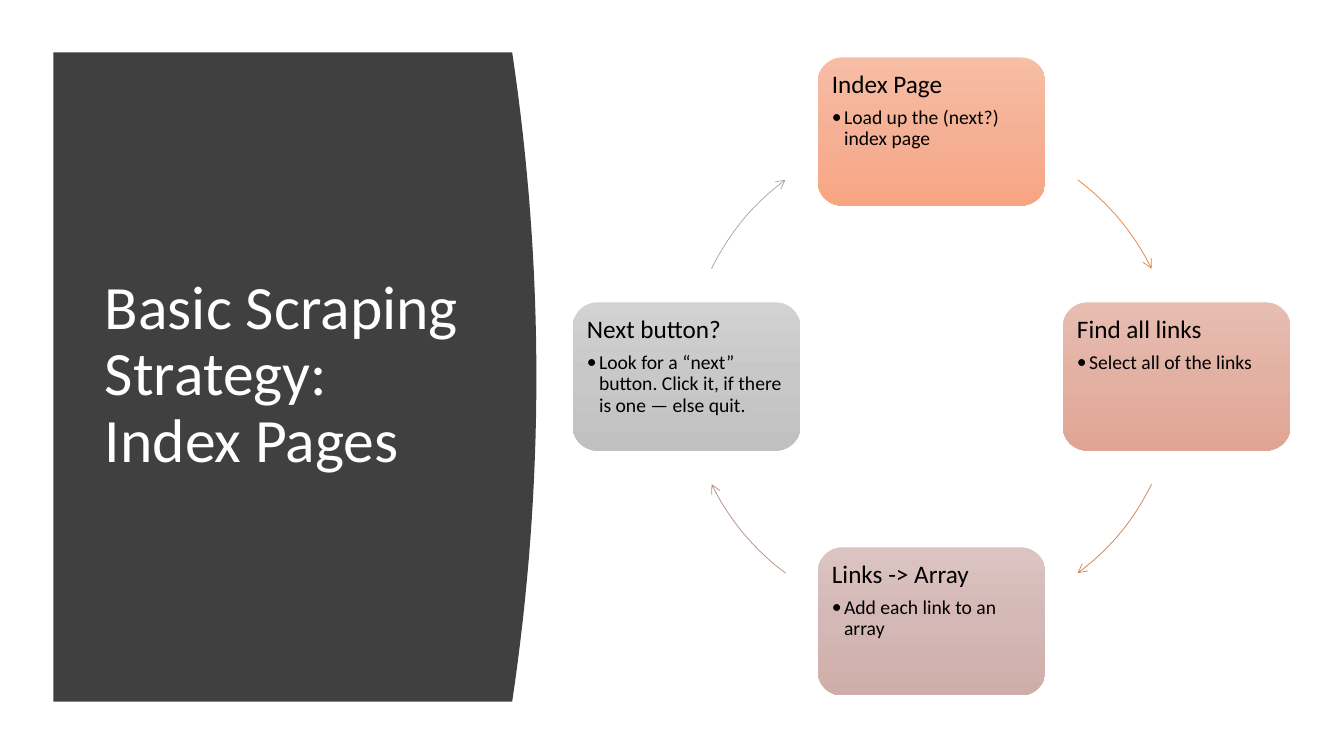
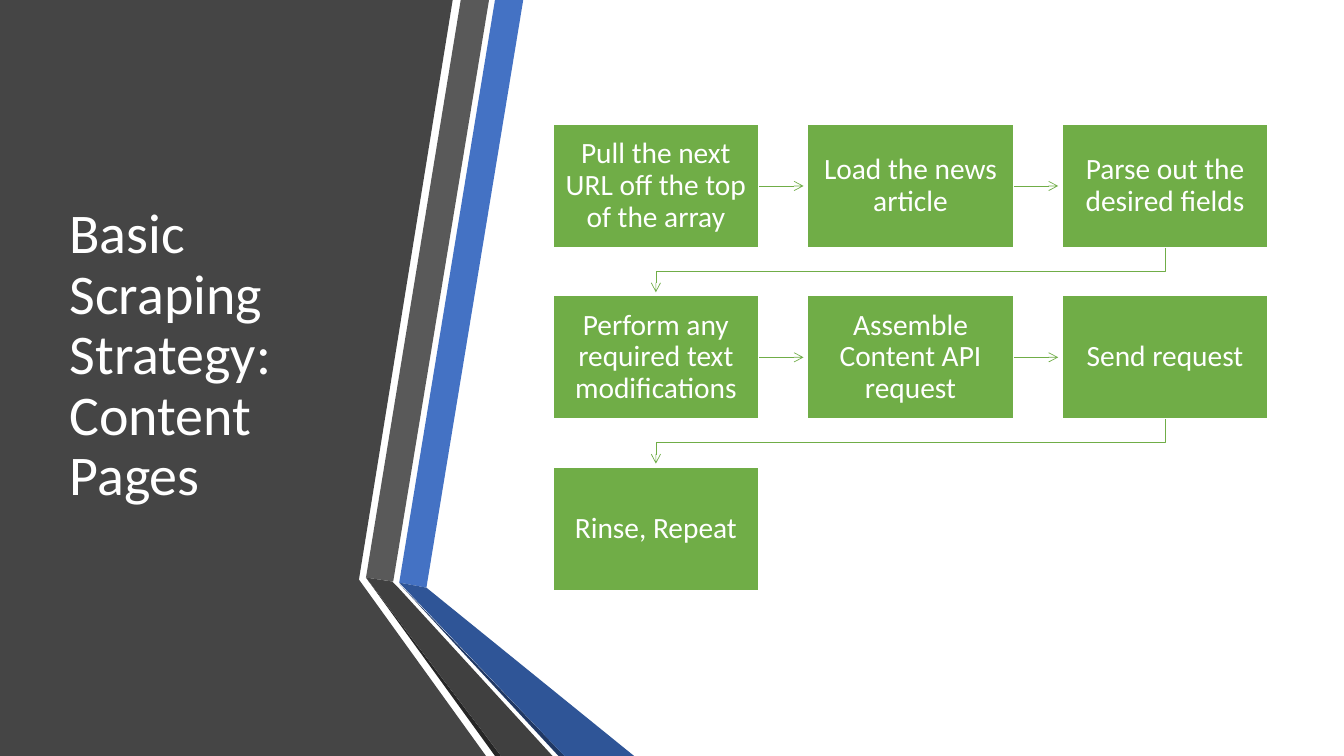
import pptx
import pptx.util
import pptx.dml.color
import pptx.enum.shapes
import pptx.enum.text
import pptx.oxml.ns
import copy
from lxml import etree

WIDE, HIGH = 13.33, 7.5
FONT = "Calibri"
HEX = {
    "white": "FFFFFF", "black": "000000",
    "panel": "404040", "side": "454545", "green": "70AD47",
    "blue": "4472C4", "navy": "2F5597", "deep": "203864",
    "gray": "595959", "dark": "262626",
}
# Cycle steps: heading, detail, gradient, arrow colour
STEPS = [
    ("Index Page", "Load up the (next?) index page",
     ("F7BDA5", "F5B196", "F8A582"), "ED7D31"),
    ("Find all links", "Select all of the links",
     ("E7BDB1", "E2B1A3", "E1A493"), "D17B5C"),
    ("Links -> Array", "Add each link to an array",
     ("DBC4C1", "D3B8B5", "CFAEA9"), "B98A82"),
    ("Next button?",
     "Look for a “next” button. Click it, if there is one — else quit.",
     ("D2D2D2", "C8C8C8", "C0C0C0"), "A5A5A5"),
]
TASKS = [
    "Pull the next URL off the top of the array", "Load the news article",
    "Parse out the desired fields", "Perform any required text modifications",
    "Assemble Content API request", "Send request", "Rinse, Repeat",
]
# Folded bands: colour and corners
BANDS = [
    ("side", [(0, 0), (4.49, 0), (3.56, 5.75), (4.82, 7.5), (0, 7.5)]),
    ("blue", [(3.96, 5.78), (4.23, 5.83), (5.19, 0), (4.91, 0)]),
    ("gray", [(4.85, 0), (4.57, 0), (3.63, 5.73), (3.9, 5.77)]),
    ("dark", [(3.63, 5.73), (4.91, 7.5), (4.97, 7.5)]),
    ("deep", [(3.96, 5.79), (5.54, 7.5), (5.6, 7.5)]),
    ("navy", [(3.96, 5.78), (5.6, 7.5), (6.29, 7.5), (4.23, 5.83)]),
    ("panel", [(3.63, 5.73), (4.97, 7.5), (5.48, 7.5), (3.95, 5.83),
               (3.89, 5.77)]),
]
KIND = pptx.enum.shapes.MSO_SHAPE
ANCHOR = pptx.enum.text.MSO_ANCHOR
ALIGN = pptx.enum.text.PP_ALIGN
inch = pptx.util.Inches
qn = pptx.oxml.ns.qn


def rgb(code):
    return pptx.dml.color.RGBColor.from_string(code)


def span(*nums):
    return [inch(n) for n in nums]


# Text
def write(para, text, size, color):
    para.line_spacing = 0.9
    run = para.add_run()
    run.text = text
    font = run.font
    font.name, font.size = FONT, pptx.util.Pt(size)
    font.color.rgb = rgb(color)


def frame(shape, anchor, pad_x, pad_y):
    body = shape.text_frame
    body.word_wrap = True
    body.auto_size = pptx.enum.text.MSO_AUTO_SIZE.NONE
    body.vertical_anchor = anchor
    body.margin_left = body.margin_right = inch(pad_x)
    body.margin_top = body.margin_bottom = inch(pad_y)
    return body


def bullet(para, dent):
    props = para._p.get_or_add_pPr()
    props.set("marL", str(inch(dent)))
    props.set("indent", str(-inch(dent)))
    etree.SubElement(props, qn("a:buFont")).set("typeface", FONT)
    etree.SubElement(props, qn("a:buChar")).set("char", "•")


def title(slide, box, lines, size):
    head = slide.shapes.title
    slide.shapes._spTree.append(head._element)  # bring above the panel
    head.left, head.top, head.width, head.height = span(*box)
    para = frame(head, ANCHOR.MIDDLE, 0.1, 0.05).paragraphs[0]
    para.alignment = ALIGN.LEFT
    for i, line in enumerate(lines):
        if i:
            para.add_line_break()
        write(para, line, size, HEX["white"])


# Shapes and lines
def shape(slide, kind, box):
    item = slide.shapes.add_shape(kind, *span(*box))
    item.shadow.inherit = False
    return item


def trace(slide, spots, close=True):
    spots = [span(*spot) for spot in spots]
    pen = slide.shapes.build_freeform(*spots[0], scale=1.0)
    pen.add_line_segments(spots[1:], close=close)
    item = pen.convert_to_shape()
    item.shadow.inherit = False
    return item


def patch(slide, spots, color):
    item = trace(slide, spots)
    item.fill.solid()
    item.fill.fore_color.rgb = rgb(color)
    item.line.fill.background()


def arrow(item, color):
    item.line.color.rgb = rgb(color)
    item.line.width = pptx.util.Pt(0.5)
    line = item._element.spPr.find(qn("a:ln"))
    etree.SubElement(line, qn("a:tailEnd")).set("type", "arrow")


def shade(item, codes):
    item.fill.gradient()
    item.fill.gradient_angle = 270
    stops = item._element.spPr.find(qn("a:gradFill")).find(qn("a:gsLst"))
    stops.append(copy.deepcopy(stops[-1]))
    for i, stop in enumerate(item.fill.gradient_stops):
        stop.position = i / 2
        stop.color.rgb = rgb(codes[i])


# Panel with a bowed right side
def panel(slide, box, bow, count=32):
    x, y, w, h = box
    edge = []
    for i in range(count + 1):
        t = i / count
        edge.append((x + w - bow * (2 * t - 1) ** 2, y + h * t))
    patch(slide, [(x, y)] + edge + [(x, y + h)], HEX["panel"])


def card(slide, box, head, note, codes):
    item = shape(slide, KIND.ROUNDED_RECTANGLE, box)
    shade(item, codes)
    item.line.fill.background()
    body = frame(item, ANCHOR.TOP, 0.07, 0.07)
    top, sub = body.paragraphs[0], body.add_paragraph()
    top.alignment = sub.alignment = ALIGN.LEFT
    top.space_after = pptx.util.Pt(6.3)
    write(top, head, 18, HEX["black"])
    sub.level = 1
    bullet(sub, 0.12)
    write(sub, note, 14, HEX["black"])


# Four cards around a ring, clockwise from the top
def cycle(slide, box):
    x, y, w, h = box
    wide, high = 2.26, 1.47
    across, down = (w - wide) / 2, (h - high) / 2
    ring = (x + wide / 2, y + high / 2, 2 * across, 2 * down)
    spots = [(1, 0), (2, 1), (1, 2), (0, 1)]
    # Arcs mirror each other about both axes, clear of the cards
    near, far = 26.1, 53.4
    sweeps = [(360 - far, 360 - near), (near, far),
              (180 - far, 180 - near), (180 + near, 180 + far)]
    for (col, row), sweep, step in zip(spots, sweeps, STEPS):
        head, note, codes, color = step
        card(slide, (x + col * across, y + row * down, wide, high),
             head, note, codes)
        arc = shape(slide, KIND.ARC, ring)
        arc.fill.background()
        for k, angle in enumerate(sweep):
            arc.adjustments[k] = angle * 0.6
        arrow(arc, color)


# Boxes in rows of three, joined by arrows
def flow(slide, box, cols=3):
    x, y, w, h = box
    wide, high, gap = 2.05, 1.23, 0.44
    rows = -(-len(TASKS) // cols)
    step, drop = (w - wide) / (cols - 1), (h - high) / (rows - 1)
    for i, task in enumerate(TASKS):
        row, col = divmod(i, cols)
        left, top = x + col * step, y + row * drop
        item = shape(slide, KIND.RECTANGLE, (left, top, wide, high))
        item.fill.solid()
        item.fill.fore_color.rgb = rgb(HEX["green"])
        item.line.color.rgb = rgb(HEX["white"])
        item.line.width = pptx.util.Pt(1.5)
        para = frame(item, ANCHOR.MIDDLE, 0.1, 0.11).paragraphs[0]
        para.alignment = ALIGN.CENTER
        write(para, task, 21, HEX["white"])
        if i == len(TASKS) - 1:
            break
        if col < cols - 1:
            mid, side = top + high / 2, left + wide
            link = slide.shapes.add_connector(
                pptx.enum.shapes.MSO_CONNECTOR.STRAIGHT,
                *span(side, mid, side + gap, mid))
            link.begin_connect(item, 3)
            arrow(link, HEX["green"])
            etree.SubElement(link._element.spPr, qn("a:effectLst"))
        else:
            base, mid = top + high, left + wide / 2
            first = x + wide / 2
            turn = base + 0.23
            link = trace(slide, [(mid, base), (mid, turn), (first, turn),
                                 (first, base + gap)], close=False)
            link.fill.background()
            arrow(link, HEX["green"])


def bands(slide, box):
    x, y = box[:2]
    for name, spots in BANDS:
        patch(slide, [(x + a, y + b) for a, b in spots], HEX[name])


def main():
    deck = pptx.Presentation()
    deck.slide_width, deck.slide_height = span(WIDE, HIGH)
    plain = deck.slide_layouts[5]

    # Index pages
    slide = deck.slides.add_slide(plain)
    panel(slide, (0.53, 0.52, 4.79, 6.44), 0.24)
    title(slide, (0.94, 1.11, 3.74, 5.24),
          ["Basic Scraping Strategy:", "Index Pages"], 44)
    cycle(slide, (5.68, 0.57, 7.12, 6.33))

    # Content pages
    slide = deck.slides.add_slide(plain)
    bands(slide, (0, 0, WIDE, HIGH))
    title(slide, (0.59, 0.75, 3.04, 5.58),
          ["Basic Scraping Strategy:", "Content Pages"], 40)
    flow(slide, (5.48, 1.23, 7.1, 4.63))

    deck.save("out.pptx")


if __name__ == "__main__":
    main()
